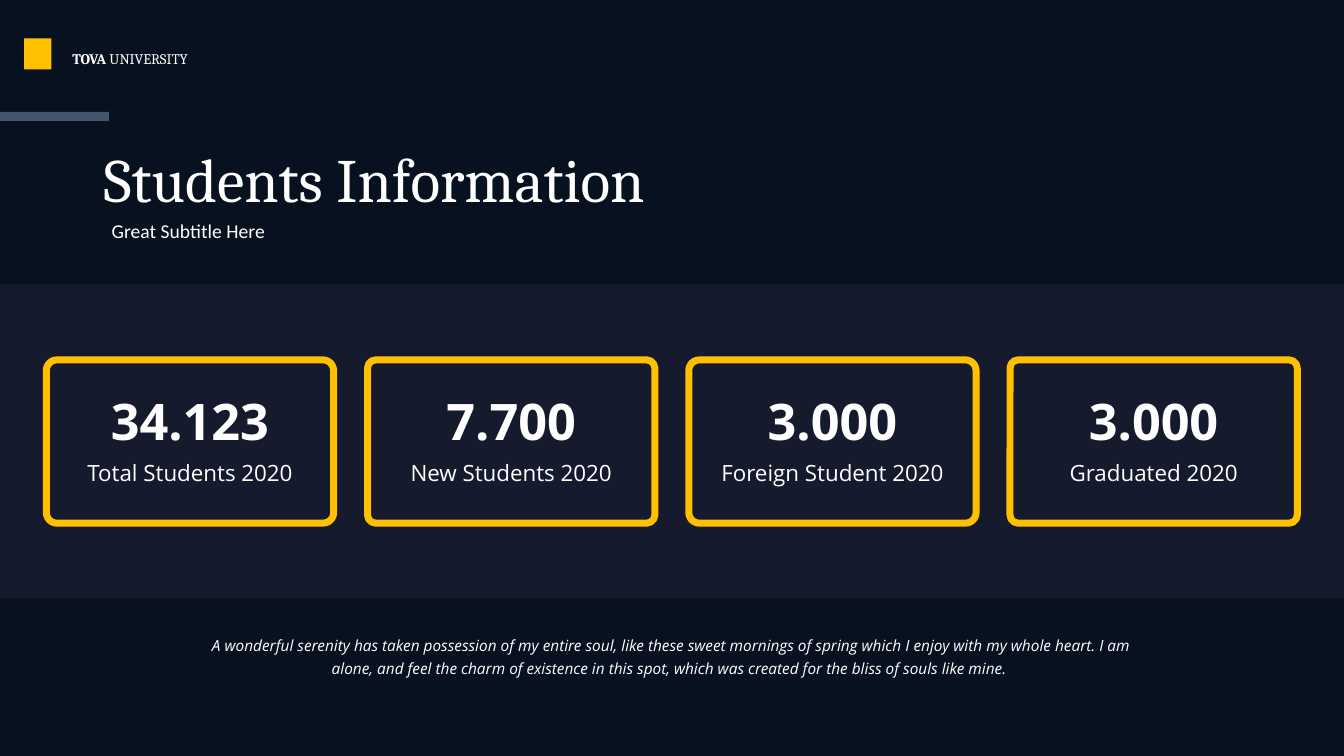
"""Build the slide on student numbers."""
from lxml import etree
from pptx import Presentation
from pptx.dml.color import RGBColor
from pptx.enum import shapes, text
from pptx.oxml import ns
from pptx.util import Pt

NIGHT, BAND, SLATE, GOLD, WHITE = "07111F", "1C1F33", "44546A", "FFC000", "FFFFFF"
BLOCKS = [
    (0, 203.04, 960, 224.64, BAND, 70),
    (0, 79.92, 77.76, 6.48, SLATE, 100),
    (17.28, 27.36, 19.44, 22.32, GOLD, 100),
]
TITLE = {"size": 44, "name": "Cambria"}
BRAND = {"size": 10.5, "name": "Cambria"}
SUB = {"size": 14, "name": "Calibri"}
COUNT = {"size": 36, "name": "Open Sans", "bold": True}
LABEL = {"size": 16, "name": "Open Sans"}
QUOTE = {"size": 11, "name": "Open Sans", "italic": True}
MID = {"alignment": text.PP_ALIGN.CENTER}
TIGHT = {**MID, "line_spacing": 0.9, "space_before": Pt(16)}
LOOSE = {**MID, "line_spacing": 1.2}
TEXTS = [
    ((66.96, 86.4, 525.6, 81.36), [("Students Information", TITLE)], {}, text.MSO_ANCHOR.MIDDLE),
    ((44.64, 31.68, 108.72, 20.16),
     [("TOVA ", {**BRAND, "bold": True}), ("UNIVERSITY", BRAND)], {}, text.MSO_ANCHOR.TOP),
    ((72.72, 152.64, 260.64, 24.48), [("Great Subtitle Here", SUB)], {}, text.MSO_ANCHOR.TOP),
    ((138.96, 448.56, 681.84, 38.16),
     [("A wonderful serenity has taken possession of my entire soul, like these sweet "
       "mornings of spring which I enjoy with my whole heart. I am alone, and feel the "
       "charm of existence in this spot, which was created for the bliss of souls like mine. ",
       QUOTE)], LOOSE, text.MSO_ANCHOR.TOP),
]
CARDS = [
    ("34.123", "Total Students 2020", 0.065),
    ("7.700", "New Students 2020", 0.05),
    ("3.000", "Foreign Student 2020", 0.065),
    ("3.000", "Graduated 2020", 0.05),
]
LEFT, STEP, TOP, WIDE, HIGH = 33.1, 229.45, 257.04, 205.2, 116.64
INSET, COLUMN = 7.6, 190.08


def paint(part, tint):
    """Give a fill a solid hex colour."""
    part.solid()
    part.fore_color.rgb = RGBColor.from_string(tint)


def put(kind, *box):
    """Add a flat preset shape at a box in points."""
    item = slide.shapes.add_shape(kind, *map(Pt, box))
    item.shadow.inherit = False
    return item


def block(x, y, w, h, tint, alpha):
    """Add a plain filled bar."""
    bar = put(shapes.MSO_SHAPE.RECTANGLE, x, y, w, h)
    paint(bar.fill, tint)
    bar.line.fill.background()
    if alpha < 100:
        color = bar._element.spPr.find(".//" + ns.qn("a:srgbClr"))
        etree.SubElement(color, ns.qn("a:alpha"), val=str(alpha * 1000))


def write(box, runs, format, anchor=text.MSO_ANCHOR.TOP):
    """Add a text box with styled runs."""
    frame = slide.shapes.add_textbox(*map(Pt, box)).text_frame
    frame.word_wrap = True
    frame.vertical_anchor = anchor
    para = frame.paragraphs[0]
    for key, value in format.items():
        setattr(para, key, value)
    for words, style in runs:
        run = para.add_run()
        run.text = words
        for key, value in style.items():
            setattr(run.font, key, Pt(value) if key == "size" else value)
        paint(run.font.fill, WHITE)


def card(x, count, label, round):
    """Add one outlined card with its count and label."""
    frame = put(shapes.MSO_SHAPE.ROUNDED_RECTANGLE, x, TOP, WIDE, HIGH)
    frame.adjustments[0] = round
    frame.fill.background()
    paint(frame.line.fill, GOLD)
    frame.line.width = Pt(5)
    write((x + INSET, 280.08, COLUMN, 46.8), [(count, COUNT)], TIGHT)
    write((x + INSET, 326.88, COLUMN, 24.48), [(label, LABEL)], TIGHT)


deck = Presentation()
deck.slide_width, deck.slide_height = Pt(960), Pt(540)
slide = deck.slides.add_slide(deck.slide_layouts[6])
paint(slide.background.fill, NIGHT)
for bar in BLOCKS:
    block(*bar)
for entry in TEXTS:
    write(*entry)
for i, entry in enumerate(CARDS):
    card(LEFT + i * STEP, *entry)
deck.save("out.pptx")
